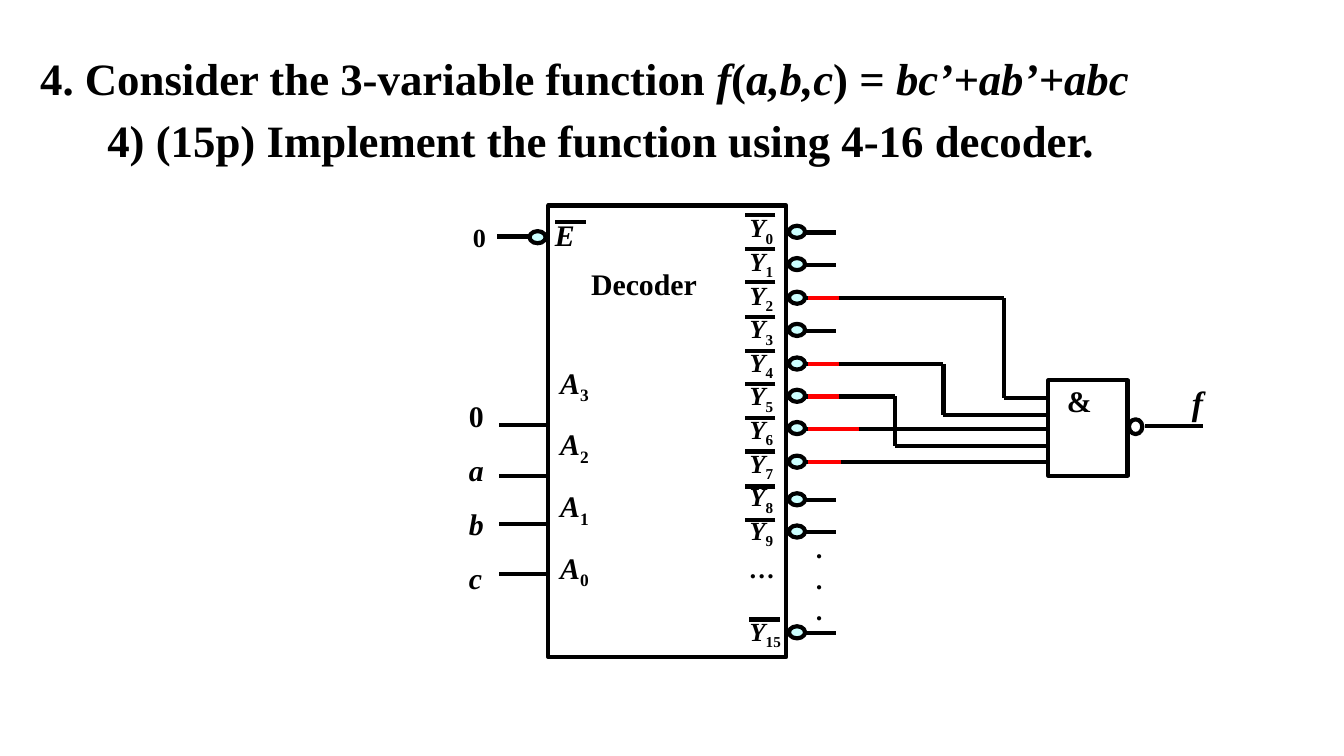
from pptx import Presentation
from pptx import util as u
from pptx.dml.color import RGBColor
from pptx.enum import shapes, text
from pptx.oxml.ns import qn
from lxml import etree

PX = 9144  # 100 px to the inch
COLORS = {"ink": "000000", "active": "FF0000", "bubble": "CCFFFF"}
FONT = "Times New Roman"
LINE_WIDTH = u.Pt(2.25)
OUTPUT_YS = [20 + round(24.4 * i) for i in range(8)] + [219, 243, 318]
OVERBAR_YS = [7 + round(25.2 * i) for i in range(10)] + [308]


def px(*lengths):
    return [u.Emu(length * PX) for length in lengths]


def color(name):
    return RGBColor.from_string(COLORS[name])


def add_line(slide, x1, y1, x2, y2, ink="ink"):
    line = slide.shapes.add_connector(shapes.MSO_CONNECTOR.STRAIGHT, *px(x1, y1, x2, y2))
    line.line.color.rgb = color(ink)
    line.line.width = LINE_WIDTH
    etree.SubElement(line._element.spPr, qn("a:effectLst"))


def add_wire(slide, *points):
    """Join successive points with straight segments."""
    for start, end in zip(points, points[1:]):
        add_line(slide, *start, *end)


def add_outline(slide, kind, left, top, width, height, fill=None):
    shape = slide.shapes.add_shape(kind, *px(left, top, width, height))
    shape.shadow.inherit = False
    if fill:
        shape.fill.solid()
        shape.fill.fore_color.rgb = color(fill)
    else:
        shape.fill.background()
    shape.line.color.rgb = color("ink")
    shape.line.width = LINE_WIDTH


def add_bubble(slide, left, middle):
    add_outline(slide, shapes.MSO_SHAPE.OVAL, left, middle - 5, 12, 9, "bubble")


def add_text(slide, box, lines, size, bottom=False, wrap=True, spacing=None, gap=0):
    """Each line is a list of (words, style); style is "", "italic" or "sub"."""
    shape = slide.shapes.add_textbox(*px(*box))
    frame = shape.text_frame
    frame.word_wrap = wrap
    frame.vertical_anchor = text.MSO_ANCHOR.BOTTOM if bottom else text.MSO_ANCHOR.TOP
    for index, runs in enumerate(lines):
        paragraph = frame.paragraphs[0] if index == 0 else frame.add_paragraph()
        if spacing:
            paragraph.line_spacing = u.Pt(spacing)
        if index and gap:
            paragraph.space_before = u.Pt(gap)
        font = paragraph.font
        font.name, font.size, font.bold = FONT, u.Pt(size), True
        font.color.rgb = color("ink")
        same_style = len({style for _, style in runs}) == 1
        if same_style:
            font.italic = runs[0][1] == "italic"
        for words, style in runs:
            run = paragraph.add_run()
            run.text = words
            if not same_style:
                run.font.italic = style == "italic"
            if style == "sub":
                run.font._element.set("baseline", "-25000")
    return frame


def indexed(letter, number):
    return [(letter, "italic"), (str(number), "sub")]


def add_task(slide, left, top, width, height):
    question = [("4. Consider the 3-variable function ", ""), ("f", "italic"), ("(", ""),
                ("a,b,c", "italic"), (") = ", ""), ("bc’+ab’+abc", "italic")]
    part = [("4) (15p) Implement the function using 4-16 decoder.", "")]
    frame = add_text(slide, (left, top, width, height), [question, part], 24, gap=4.5)
    frame.paragraphs[1]._p.get_or_add_pPr().set("marL", str(50 * PX))


def add_decoder(slide, left, top, width, height):
    right = left + width
    add_outline(slide, shapes.MSO_SHAPE.RECTANGLE, left, top, width, height)
    add_text(slide, (left + 22, top + 39, 100, 37), [[("Decoder", "")]], 16, True, False)

    # Enable input
    add_text(slide, (left - 66, top + 7, 30, 34), [[("0", "")]], 14, wrap=False)
    add_line(slide, left - 1, top + 23, left - 38, top + 23)
    add_bubble(slide, left - 14, top + 24)
    add_text(slide, (left - 5, top + 3, 51, 37), [[("E", "italic")]], 16, True)
    add_line(slide, left + 28, top + 12, left + 5, top + 12)

    # Address inputs
    add_text(slide, (left - 1, top + 124, 52, 167),
             [indexed("A", number) for number in (3, 2, 1, 0)], 16, True, spacing=18, gap=15)
    signals = [[("0", "")]] + [[(name, "italic")] for name in "abc"]
    add_text(slide, (left - 69, top + 114, 47, 181), signals, 16, True, spacing=29)
    for y in (163, 201, 237, 274):
        add_line(slide, left, top + y, left - 37, top + y)

    # Inverted outputs
    labels = [indexed("Y", number) for number in range(10)]
    labels += [[("…", "italic")], indexed("Y", 15)]
    frame = add_text(slide, (right - 37, top - 2, 46, 338), labels, 14, True, spacing=18)
    frame.paragraphs[-1].space_before = u.Pt(18)
    for y, bar_y in zip(OUTPUT_YS, OVERBAR_YS):
        shift = 3 if y == OUTPUT_YS[-1] else 0
        add_line(slide, right - 8 + shift, top + bar_y, right - 31 + shift, top + bar_y)
        add_line(slide, right + 37, top + y, right, top + y)
        add_bubble(slide, right + 2, top + y)
    add_text(slide, (right + 13, top + 238, 25, 81), [[(".", "italic")]] * 3, 14, wrap=False)


def add_wiring(slide, left, top, width):
    """Lead outputs 2, 4, 5, 6 and 7 from the decoder's side to the gate."""
    right = left + width
    y2, y4, y5, y6, y7 = [top + OUTPUT_YS[number] for number in (2, 4, 5, 6, 7)]
    for y in (y2, y4, y5, y6, y7):
        add_line(slide, left + 54, y, left + 16, y, "active")
    for y, bend, entry in ((y2, 162, 143), (y4, 117, 156), (y5, 81, 179)):
        corner = left + bend
        add_wire(slide, (left + 39, y), (corner, y), (corner, top + entry), (right, top + entry))
    add_line(slide, left + 54, y6, right, y6)
    add_line(slide, left + 41, y7, right, y7)


def add_nand_gate(slide, left, top, width, height):
    right = left + width
    add_outline(slide, shapes.MSO_SHAPE.RECTANGLE, left, top, width, height)
    add_outline(slide, shapes.MSO_SHAPE.OVAL, right + 1, top + 29, 10, 11)
    add_line(slide, right + 13, top + 34, right + 56, top + 34)
    add_text(slide, (left + 4, top - 4, 39, 37), [[("&", "")]], 16, True, False)
    add_text(slide, (right + 38, top - 4, 29, 40), [[("f", "italic")]], 18, wrap=False)


def main():
    presentation = Presentation()
    presentation.slide_width = u.Emu(1000 * PX)
    presentation.slide_height = u.Emu(presentation.slide_width * 9 // 16)
    slide = presentation.slides.add_slide(presentation.slide_layouts[6])
    add_task(slide, 20, 33, 961, 102)
    add_decoder(slide, 408, 153, 177, 336)
    add_wiring(slide, 585, 153, 195)
    add_nand_gate(slide, 780, 283, 59, 71)
    presentation.save("out.pptx")


if __name__ == "__main__":
    main()
